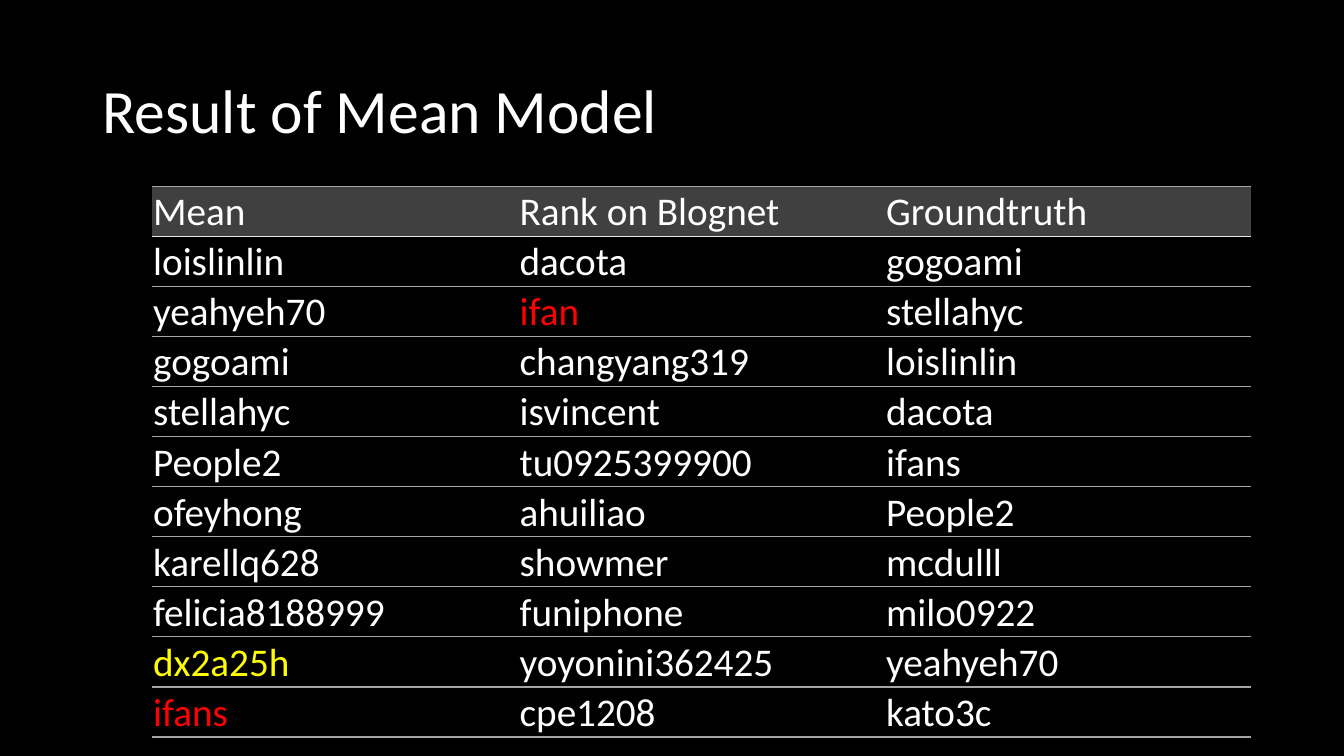
from lxml import etree
from pptx import Presentation
from pptx.dml.color import RGBColor
from pptx.enum.text import MSO_ANCHOR, PP_ALIGN
from pptx.oxml.ns import qn
from pptx.util import Cm, Pt

LEFT = PP_ALIGN.LEFT
MIDDLE = MSO_ANCHOR.MIDDLE
TITLE_ONLY = 5
FONT = "Calibri"
BLACK, WHITE, RED, YELLOW = "000000", "FFFFFF", "FF0000", "FFFF00"
HEADER_FILL, RULE, HEADER_RULE = "404040", "A5A5A5", "E7E6E6"

RANKINGS = [
    ("Mean", "Rank on Blognet", "Groundtruth"),
    ("loislinlin", "dacota", "gogoami"),
    ("yeahyeh70", "ifan", "stellahyc"),
    ("gogoami", "changyang319", "loislinlin"),
    ("stellahyc", "isvincent", "dacota"),
    ("People2", "tu0925399900", "ifans"),
    ("ofeyhong", "ahuiliao", "People2"),
    ("karellq628", "showmer", "mcdulll"),
    ("felicia8188999", "funiphone", "milo0922"),
    ("dx2a25h", "yoyonini362425", "yeahyeh70"),
    ("ifans", "cpe1208", "kato3c"),
]
HIGHLIGHTS = {(2, 1): RED, (9, 0): YELLOW, (10, 0): RED}


def rgb(hex_color):
    """Turn a hex string into a colour."""
    return RGBColor.from_string(hex_color)


def write(frame, wording, size, color, spacing):
    """Write one left-aligned run into a text frame."""
    paragraph = frame.paragraphs[0]
    paragraph.alignment = LEFT
    paragraph.line_spacing = spacing
    run = paragraph.add_run()
    run.text = wording
    run.font.name = FONT
    run.font.size = Pt(size)
    run.font.color.rgb = rgb(color)


def rule_cell(cell, top, bottom):
    """Draw the horizontal rules of a cell and clear its side borders."""
    properties = cell._tc.get_or_add_tcPr()
    for side, rule in (("L", None), ("R", None), ("T", top), ("B", bottom)):
        border = etree.SubElement(properties, qn(f"a:ln{side}"))
        if rule is None:
            etree.SubElement(border, qn("a:noFill"))
            continue
        color, width = rule
        border.set("w", str(Pt(width)))
        fill = etree.SubElement(border, qn("a:solidFill"))
        etree.SubElement(fill, qn("a:srgbClr"), val=color)


def add_title(slide, wording, left, top, width, height):
    """Place the slide title in its box."""
    title = slide.shapes.title
    title.left, title.top, title.width, title.height = left, top, width, height
    title.text_frame.vertical_anchor = MIDDLE
    write(title.text_frame, wording, 44, WHITE, 0.9)


def add_rankings(slide, left, top, width, height):
    """Place the ranking table in its box with equal rows and columns."""
    rankings = slide.shapes.add_table(
        len(RANKINGS), len(RANKINGS[0]), left, top, width, height).table
    rankings.first_row = False
    rankings.horz_banding = False
    thin, strong = (RULE, 0.91), (HEADER_RULE, 1)
    for row, names in enumerate(RANKINGS):
        for column, name in enumerate(names):
            cell = rankings.cell(row, column)
            cell.margin_left = cell.margin_right = cell.margin_top = Cm(0.03)
            cell.margin_bottom = Cm(0)
            cell.vertical_anchor = MIDDLE
            rule_cell(cell, strong if row == 1 else thin, strong if row == 0 else thin)
            if row == 0:
                cell.fill.solid()
                cell.fill.fore_color.rgb = rgb(HEADER_FILL)
            else:
                cell.fill.background()
            spacing = 1.0 if (row, column) == (0, 1) else 1.02
            write(cell.text_frame, name, 28,
                  HIGHLIGHTS.get((row, column), WHITE), spacing)


def main():
    """Build and save the slide."""
    deck = Presentation()
    deck.slide_width, deck.slide_height = Cm(33.87), Cm(19.05)
    slide = deck.slides.add_slide(deck.slide_layouts[TITLE_ONLY])
    slide.background.fill.solid()
    slide.background.fill.fore_color.rgb = rgb(BLACK)
    add_rankings(slide, Cm(3.83), Cm(4.69), Cm(27.71), Cm(13.59))
    add_title(slide, "Result of Mean Model", Cm(2.33), Cm(1.01), Cm(29.21), Cm(3.68))
    deck.save("out.pptx")


if __name__ == "__main__":
    main()
